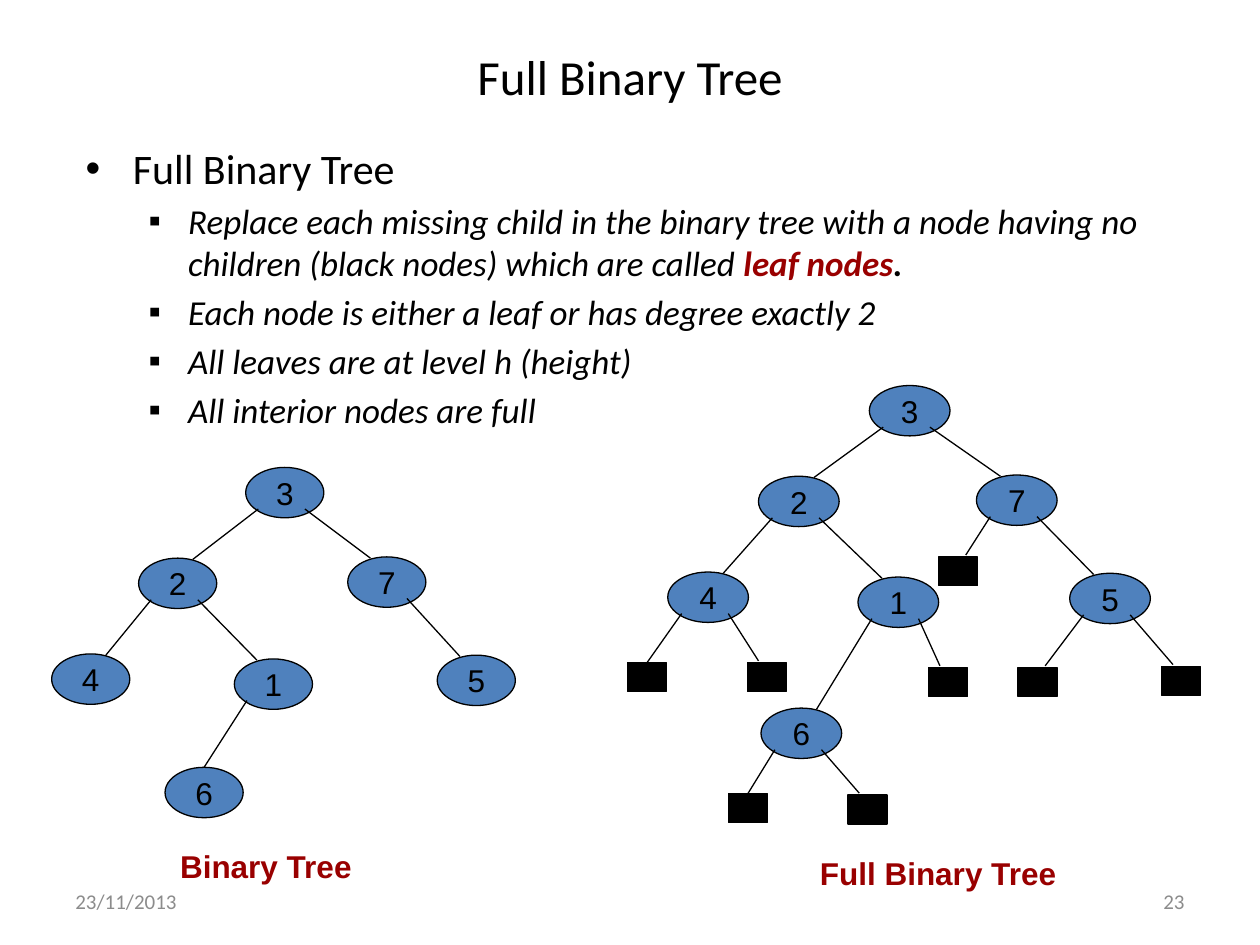
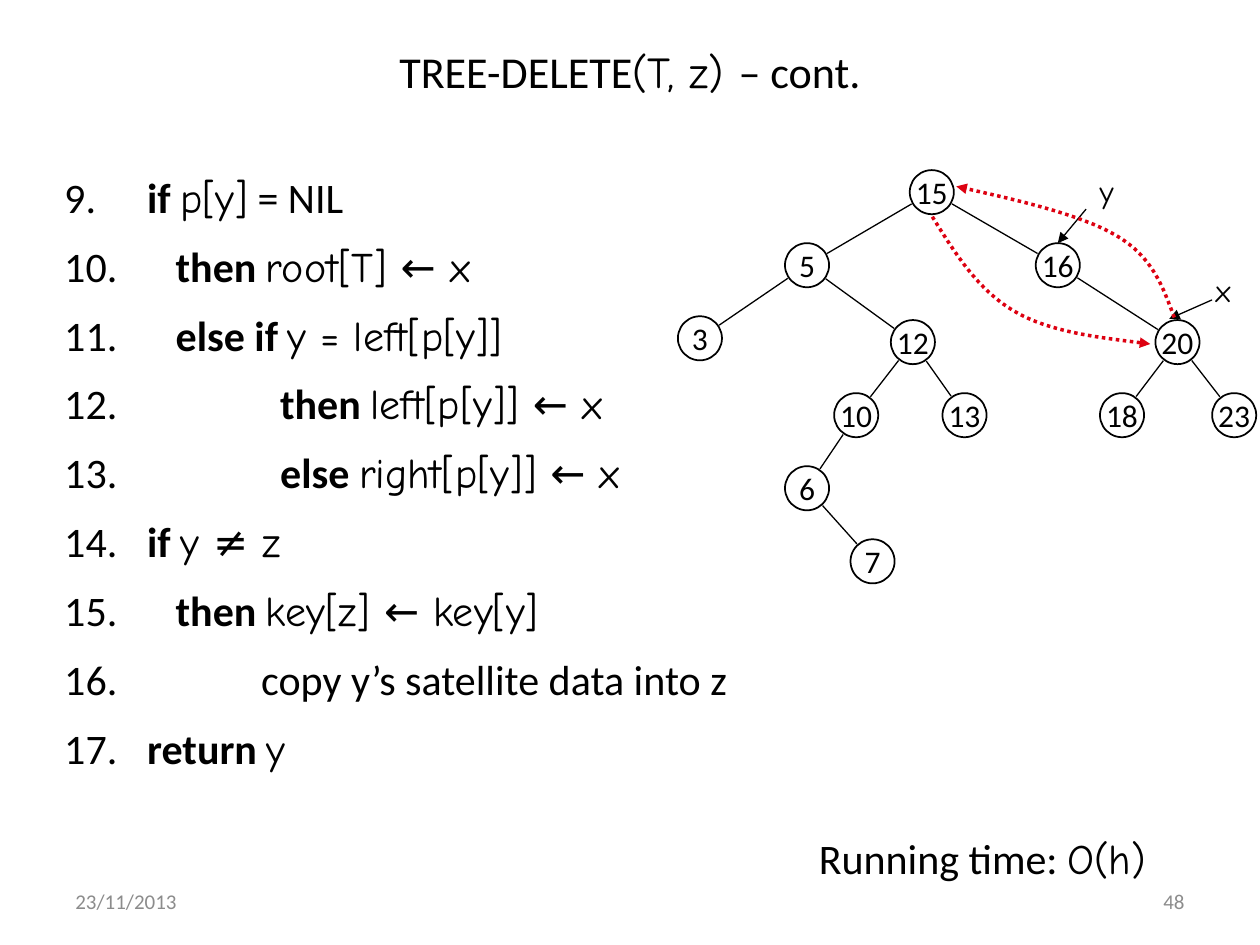
from dataclasses import dataclass
from typing import Callable, NamedTuple, Optional
import math

import lxml.etree
import pptx
import pptx.dml.color
import pptx.enum.dml
import pptx.enum.shapes
import pptx.enum.text
import pptx.oxml.ns
import pptx.util

RGB = pptx.dml.color.RGBColor
BLACK = RGB(0x00, 0x00, 0x00)
WHITE = RGB(0xFF, 0xFF, 0xFF)
GREY = RGB(0x8C, 0x8C, 0x8C)
BLUE = RGB(0x4F, 0x81, 0xBD)
MAROON = RGB(0x99, 0x00, 0x00)
RED = RGB(0xDD, 0x01, 0x11)
SANS, HAND, PLAIN = "Calibri", "Comic Neue", "Arial"

ALIGN = pptx.enum.text.PP_ALIGN
MIDDLE = pptx.enum.text.MSO_ANCHOR.MIDDLE
SHAPE = pptx.enum.shapes.MSO_SHAPE
qn = pptx.oxml.ns.qn

# The slide is a grid of 100 columns by 75 rows; every place is in cells.
COLS, ROWS = 100, 75
WIDE, HIGH = pptx.util.Inches(10), pptx.util.Inches(7.5)

Point = tuple[float, float]
Ports = Callable[[float, float], tuple[Point, Point]]


class Box(NamedTuple):
    left: float
    top: float
    width: float
    height: float


class Run(NamedTuple):
    text: str
    style: dict = {}


@dataclass(frozen=True)
class Node:
    """Tree node by its centre; with top set, its edge joins the top middle."""
    key: str
    x: float
    y: float
    above: str = ""
    leaf: bool = False
    top: bool = False


@dataclass(frozen=True)
class Look:
    width: float
    height: float
    fill: RGB
    weight: float
    font: str


def col(n: float) -> int:
    return round(n * WIDE / COLS)


def row(n: float) -> int:
    return round(n * HIGH / ROWS)


def place(box: Box) -> tuple[int, int, int, int]:
    return col(box.left), row(box.top), col(box.width), row(box.height)


def write(par, text: str, *, size: float = 18, font: str = SANS, color: RGB = BLACK,
          bold: bool = False, italic: bool = False) -> None:
    run = par.add_run()
    run.text = text
    face = run.font
    face.size, face.name = pptx.util.Pt(size), font
    face.bold, face.italic = bold, italic
    face.color.rgb = color


def write_all(par, runs: list[Run], **base) -> None:
    for run in runs:
        write(par, run.text, **{**base, **run.style})


def label(slide, box: Box, runs: list[Run], align=ALIGN.LEFT, wrap: bool = False,
          anchor=None, **base) -> None:
    frame = slide.shapes.add_textbox(*place(box)).text_frame
    frame.word_wrap = wrap
    if anchor:
        frame.vertical_anchor = anchor
    frame.paragraphs[0].alignment = align
    write_all(frame.paragraphs[0], runs, **base)


def move(holder, box: Box):
    holder.left, holder.top, holder.width, holder.height = place(box)
    frame = holder.text_frame
    frame.auto_size = pptx.enum.text.MSO_AUTO_SIZE.NONE
    return frame


def start_slide(deck, title: list[Run], size: float, box: Box, page: str):
    """Add a slide with its title, date and page number."""
    slide = deck.slides.add_slide(deck.slide_layouts[1])
    frame = move(slide.shapes.title, box)
    frame.vertical_anchor = MIDDLE
    frame.paragraphs[0].alignment = ALIGN.CENTER
    write_all(frame.paragraphs[0], title, size=size)
    for left, text, align in ((5, "23/11/2013", ALIGN.LEFT), (71.7, page, ALIGN.RIGHT)):
        label(slide, Box(left, 69.5, 23.3, 4), [Run(text)], align, True, MIDDLE,
              size=12, color=GREY)
    return slide


def fill_list(frame, items: list[list[Run]], mark: Callable, **base) -> None:
    """Write one paragraph per item; mark(par, index) sets its bullet."""
    for index, runs in enumerate(items):
        par = frame.paragraphs[0] if index == 0 else frame.add_paragraph()
        if index == 0:
            par.space_before = pptx.util.Pt(0)
        mark(par, index)
        write_all(par, runs, **base)


def bullet(par, indent: float, hang: float, tag: str, **attrs: str) -> None:
    props = par._p.get_or_add_pPr()
    props.set("marL", str(col(indent)))
    props.set("indent", str(-col(hang)))
    lxml.etree.SubElement(props, qn("a:buFont")).set("typeface", PLAIN)
    item = lxml.etree.SubElement(props, qn(tag))
    for name, value in attrs.items():
        item.set(name, value)


def arrow(shape) -> None:
    line = shape._element.spPr.find(qn("a:ln"))
    lxml.etree.SubElement(line, qn("a:tailEnd")).set("type", "triangle")


def draw_line(slide, start: Point, end: Point):
    line = slide.shapes.add_connector(
        pptx.enum.shapes.MSO_CONNECTOR.STRAIGHT,
        col(start[0]), row(start[1]), col(end[0]), row(end[1]))
    line.line.color.rgb = BLACK
    line.line.width = pptx.util.Pt(0.75)
    lxml.etree.SubElement(line._element.spPr, qn("a:effectLst"))
    return line


def draw_node(slide, node: Node, look: Look):
    width, height = (3.1, 2.3) if node.leaf else (look.width, look.height)
    kind = SHAPE.RECTANGLE if node.leaf else SHAPE.OVAL
    box = Box(node.x - width / 2, node.y - height / 2, width, height)
    shape = slide.shapes.add_shape(kind, *place(box))
    shape.shadow.inherit = False
    shape.fill.solid()
    shape.fill.fore_color.rgb = BLACK if node.leaf else look.fill
    shape.line.color.rgb = BLACK
    shape.line.width = pptx.util.Pt(look.weight)
    if not node.leaf:
        frame = shape.text_frame
        frame.word_wrap = False
        frame.vertical_anchor = MIDDLE
        frame.paragraphs[0].alignment = ALIGN.CENTER
        write(frame.paragraphs[0], node.key, font=look.font)
    return shape


def draw_tree(slide, nodes: list[Node], look: Look, ports: Ports) -> dict:
    shapes = [draw_node(slide, node, look) for node in nodes]
    named = {node.key: node for node in nodes if not node.leaf}
    for node, shape in zip(nodes, shapes):
        if not node.above:
            continue
        head = named[node.above]
        out, into = ports(node.x - head.x, node.y - head.y)
        if node.leaf:
            into = (into[0] / 2, -1.3)
        line = draw_line(slide, (head.x + out[0], head.y + out[1]),
                         (node.x + into[0], node.y + into[1]))
        if node.top:
            line.end_connect(shape, 0)
    return {node.key: shape for node, shape in zip(nodes, shapes)}


def side_ports(dx: float, dy: float) -> tuple[Point, Point]:
    """Leave low on the child's side and arrive high on the parent's side."""
    return ((1.6, 1.3), (-1.3, -1.9)) if dx > 0 else ((-2.1, 1.3), (1.2, -1.9))


def rim_ports(dx: float, dy: float) -> tuple[Point, Point]:
    """Leave and arrive just off the rim, on the line between the centres."""
    share = 1.85 / math.hypot(dx, dy)
    return (dx * share, dy * share), (-dx * share, -dy * share)


def bezier(ends: list[Point], steps: int = 16) -> list[Point]:
    a, b, c, d = ends
    points = []
    for step in range(1, steps + 1):
        t = step / steps
        u = 1 - t
        points.append(tuple(u**3 * a[i] + 3 * u * u * t * b[i]
                            + 3 * u * t * t * c[i] + t**3 * d[i] for i in (0, 1)))
    return points


def draw_curve(slide, points: list[Point]) -> None:
    """Draw two joined cubic curves as a dotted arrow."""
    track = bezier(points[:4]) + bezier(points[3:])
    pen = slide.shapes.build_freeform(col(points[0][0]), row(points[0][1]))
    pen.add_line_segments([(col(x), row(y)) for x, y in track], close=False)
    shape = pen.convert_to_shape()
    shape.shadow.inherit = False
    shape.fill.background()
    shape.line.color.rgb = RED
    shape.line.width = pptx.util.Pt(2)
    shape.line.dash_style = pptx.enum.dml.MSO_LINE_DASH_STYLE.ROUND_DOT
    arrow(shape)


def full_tree(deck) -> None:
    slide = start_slide(deck, [Run("Full Binary Tree")], 28, Box(5, 2.5, 90, 7), "23")
    note = {"size": 20, "italic": True}
    items = [
        [Run("Full Binary Tree")],
        [Run("Replace each missing child in the binary tree with a node having no "
             "children (black nodes) which are called ", note),
         Run("leaf nodes", {**note, "bold": True, "color": MAROON}),
         Run(".", {**note, "bold": True})],
        [Run("Each node is either a leaf or has degree exactly 2", note)],
        [Run("All leaves are at level h (height)", note)],
        [Run("All interior nodes are full", note)],
    ]

    def mark(par, index: int) -> None:
        if index == 0:
            bullet(par, 3.75, 3.75, "a:buChar", char="•")
        else:
            par.level = 1
            bullet(par, 8.13, 3.13, "a:buChar", char="▪")

    frame = move(slide.placeholders[1], Box(5.8, 10.8, 89.3, 24.5))
    fill_list(frame, items, mark, size=24)

    small = [
        Node("3", 22.6, 39.1), Node("2", 14.1, 46.3, "3"),
        Node("6", 16.2, 62.9, "1", top=True), Node("1", 21.7, 54.3, "2"),
        Node("7", 30.7, 46.2, "3"), Node("4", 7.2, 53.9, "2"),
        Node("5", 37.8, 54, "7"),
    ]
    full = [
        Node("3", 72.2, 32.6), Node("2", 63.4, 39.8, "3"),
        Node("6", 63.6, 58.2, "1"), Node("1", 71.3, 47.8, "2"),
        Node("7", 80.7, 39.7, "3"), Node("4", 56.2, 47.4, "2"),
        Node("5", 88.1, 47.5, "7"),
    ]
    leaves = [
        ("4", 51.35, 53.75, True), ("4", 60.85, 53.75, False),
        ("1", 75.25, 54.15, False), ("7", 76.05, 45.35, False),
        ("5", 82.35, 54.15, False), ("5", 93.75, 54.05, False),
        ("6", 59.35, 64.15, True), ("6", 68.85, 64.25, False),
    ]
    full += [Node("", x, y, above, leaf=True, top=top) for above, x, y, top in leaves]
    for nodes, width in ((small, 6.2), (full, 6.4)):
        draw_tree(slide, nodes, Look(width, 4, BLUE, 0.75, PLAIN), side_ports)
    for text, box in (("Full Binary Tree", Box(64, 67.3, 20.9, 4)),
                      ("Binary Tree", Box(13.2, 66.7, 15.8, 4))):
        label(slide, box, [Run(text)], ALIGN.CENTER, font=PLAIN, color=MAROON, bold=True)


def tree_delete(deck) -> None:
    hand, bold = {"font": HAND}, {"bold": True}
    slide = start_slide(
        deck, [Run("TREE-DELETE"), Run("(T, z) ", hand), Run("– cont.")],
        25.2, Box(5, 3, 90, 5.3), "48")
    # Each step: leading spaces, keyword, expression, plain ending.
    steps = [
        (1, "if ", "p[y]", " = NIL"), (4, "then ", "root[T] ← x", ""),
        (4, "else if ", "y = left[p[y]]", ""), (15, "then ", "left[p[y]] ← x", ""),
        (15, "else ", "right[p[y]] ← x", ""), (1, "if ", "y ≠ z", ""),
        (4, "then ", "key[z] ← key[y]", ""),
        (13, "", "", "copy y’s satellite data into z"), (1, "return ", "y", ""),
    ]
    items = []
    for depth, word, code, rest in steps:
        runs = [Run(" " * depth), Run(word, bold), Run(code, hand), Run(rest)]
        items.append([run for run in runs if run.text])

    def mark(par, index: int) -> None:
        par.line_spacing = 1.2
        bullet(par, 5.83, 5.83, "a:buAutoNum", type="arabicPeriod", startAt="9")

    frame = move(slide.placeholders[1], Box(4.1, 12.3, 72.5, 60.5))
    fill_list(frame, items, mark, size=24)

    nodes = [
        Node("15", 73.95, 15.25), Node("16", 83.95, 21.05, "15"),
        Node("20", 93.45, 27.15, "16"), Node("18", 89.05, 32.95, "20"),
        Node("23", 97.95, 32.95, "20"), Node("5", 64.05, 21.05, "15"),
        Node("3", 55.55, 26.85, "5"), Node("12", 72.45, 27.15, "5"),
        Node("10", 67.95, 32.95, "12"), Node("13", 76.55, 32.95, "12"),
        Node("6", 64.05, 38.75, "10"), Node("7", 69.25, 44.55, "6"),
    ]
    shapes = draw_tree(slide, nodes, Look(3.5, 3.5, WHITE, 1, SANS), rim_ports)

    to_y = draw_line(slide, (86.2, 16.6), (83.95, 19.3))
    to_y.end_connect(shapes["16"], 0)
    to_x = draw_line(slide, (96.2, 23.8), (92.8, 25.3))
    for line in (to_y, to_x):
        arrow(line)
    for text, left, top in (("y", 86.3, 13.2), ("x", 95.5, 21)):
        label(slide, Box(left, top, 3.3, 4), [Run(text)], wrap=True, font=HAND)

    draw_curve(slide, [(74, 17.2), (75.8, 20.1), (77.6, 23), (80.5, 24.7),
                       (83.4, 26.4), (87.3, 26.8), (91.3, 27.3)])
    draw_curve(slide, [(93.2, 25.2), (92.3, 22.8), (91.5, 20.4), (88.6, 18.7),
                       (85.7, 17), (80.8, 15.9), (75.9, 14.8)])
    label(slide, Box(64, 65.6, 30.5, 5), [Run("Running time: "), Run("O(h)", hand)], size=24)


def main() -> None:
    deck = pptx.Presentation()
    deck.slide_width, deck.slide_height = WIDE, HIGH
    full_tree(deck)
    tree_delete(deck)
    deck.save("out.pptx")


if __name__ == "__main__":
    main()
